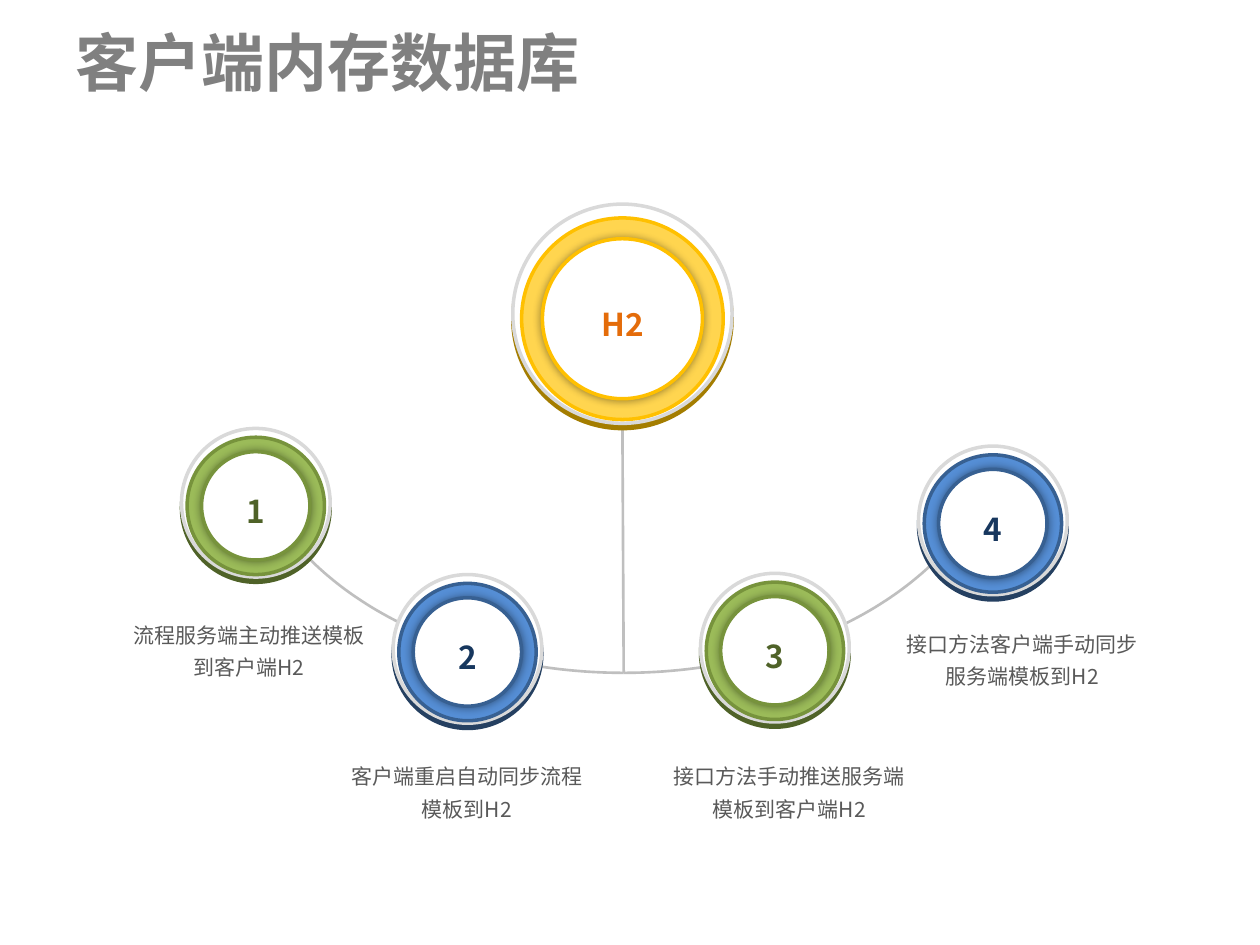
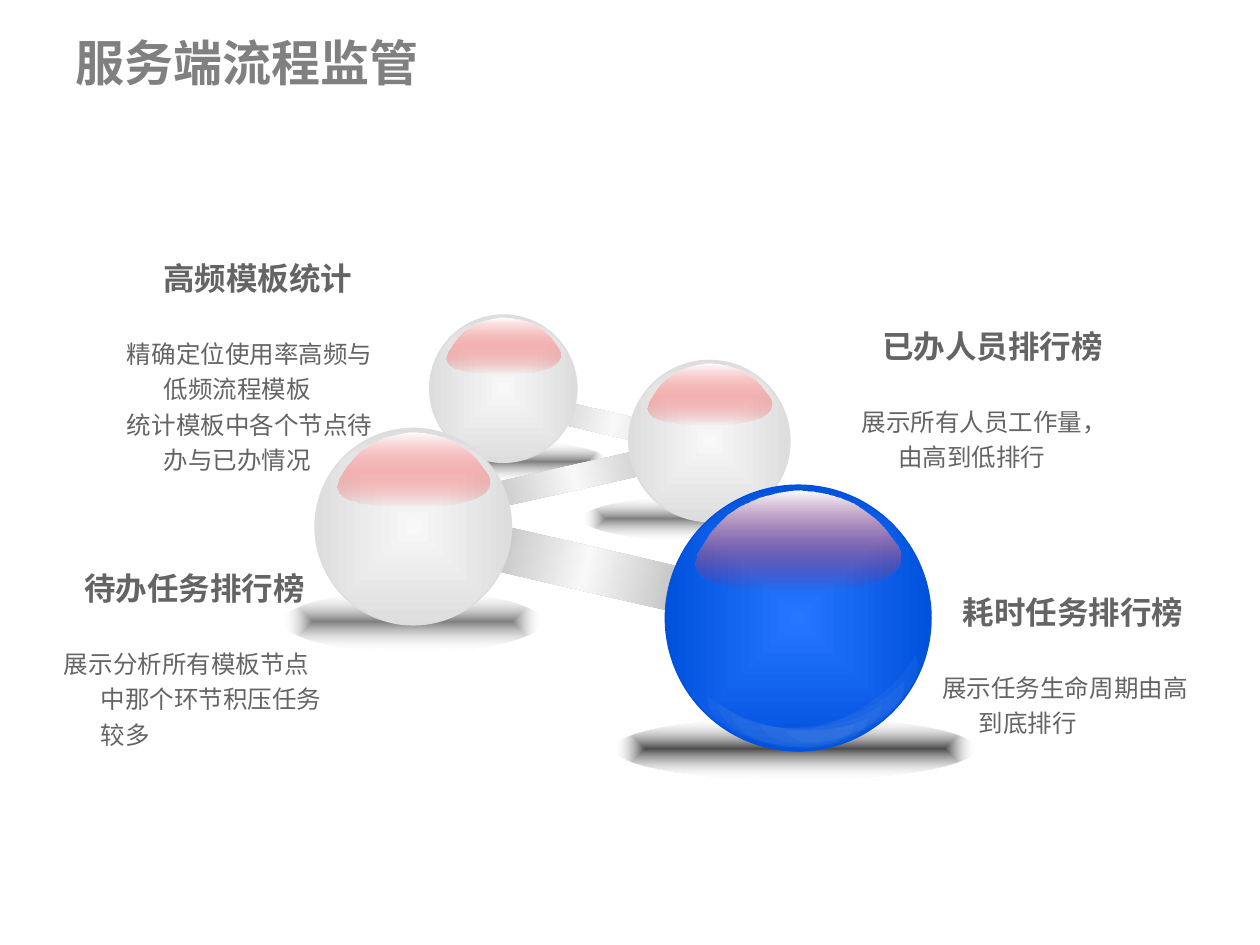
from pptx import Presentation
from pptx.dml.color import RGBColor
from pptx.enum.shapes import MSO_CONNECTOR, MSO_SHAPE
from pptx.enum.text import MSO_ANCHOR, PP_ALIGN
from pptx.oxml import parse_xml
from pptx.oxml.ns import nsdecls, qn
from pptx.util import Emu, Pt

PX = 9144
FONT = "Noto Sans CJK SC"
HEADING_FONT = "Arial"
TITLE_COLOR = "808080"
CAPTION_COLOR = "595959"
BODY_COLOR = "646464"
LINK_COLOR = "BFBFBF"
RIM_COLOR = "D9D9D9"

LEFT, CENTER = PP_ALIGN.LEFT, PP_ALIGN.CENTER
MIDDLE = MSO_ANCHOR.MIDDLE
OVAL, RECTANGLE, MOON = MSO_SHAPE.OVAL, MSO_SHAPE.RECTANGLE, MSO_SHAPE.MOON
STRAIGHT = MSO_CONNECTOR.STRAIGHT

GOLD = ("FFD54F", "FFC000", "A47D00", "E46C0A")
GREEN = ("9BBB59", "77933C", "4F6228", "4F6228")
BLUE = ("558ED5", "376092", "254061", "17375E")
PEARL_STOPS = [(0, "F8F8F8", 100), (100, "DDDDDD", 100)]
SAPPHIRE_STOPS = [(0, "2676FF", 100), (100, "0051DC", 100)]
BAR_STOPS = [(0, "C0C0C0", 100), (50, "F8F8F8", 100), (100, "C0C0C0", 100)]
GLOSS_STOPS = [(0, "FFFFFF", 100), (100, "FF0000", 0)]

GLOSS_WIDTH = 163
GLOSS_OUTLINE = [
    (161, 45), (163, 50), (163, 54), (162, 58), (160, 62), (157, 65), (153, 68),
    (148, 71), (142, 73), (135, 75), (127, 77), (120, 78), (111, 79), (98, 80),
    (59, 80), (51, 79), (43, 79), (36, 78), (29, 77), (23, 76), (18, 74),
    (13, 73), (9, 71), (5, 68), (2, 65), (1, 62), (0, 58), (1, 55), (2, 50),
    (7, 42), (12, 34), (18, 27), (25, 20), (34, 14), (42, 10), (51, 6), (62, 3),
    (72, 1), (83, 0), (94, 1), (105, 3), (115, 6), (125, 10), (134, 16),
    (142, 22), (149, 29), (155, 37),
]


def rgb(color):
    return RGBColor.from_string(color)


def emu(*lengths):
    return [Emu(round(length * PX)) for length in lengths]


def bezier(start, first, second, end, t):
    return tuple(
        (1 - t) ** 3 * a + 3 * (1 - t) ** 2 * t * b + 3 * (1 - t) * t ** 2 * c + t ** 3 * d
        for a, b, c, d in zip(start, first, second, end))


class Deck:
    def __init__(self):
        self.presentation = Presentation()
        self.presentation.slide_width, self.presentation.slide_height = emu(1000, 750)
        self.slide = None

    def add_slide(self, title, size):
        self.slide = self.presentation.slides.add_slide(self.presentation.slide_layouts[5])
        shape = self.slide.shapes.title
        shape.left, shape.top, shape.width, shape.height = emu(50, 21, 900, 56)
        shape.text_frame.vertical_anchor = MIDDLE
        self.set_text(shape, title, size, TITLE_COLOR, bold=True)

    def set_text(self, shape, text, size, color, bold=False, align=LEFT,
                 spacing=1.0, font=FONT, hanging=0):
        frame = shape.text_frame
        frame.word_wrap = True
        frame.text = text
        for paragraph in frame.paragraphs:
            paragraph.alignment = align
            paragraph.line_spacing = spacing
            if hanging:
                properties = paragraph._p.get_or_add_pPr()
                properties.set("marL", str(hanging * PX))
                properties.set("indent", str(-hanging * PX))
            for run in paragraph.runs:
                run.font.name = font
                run.font.size = Pt(size)
                run.font.bold = bold
                run.font.color.rgb = rgb(color)
                run._r.get_or_add_rPr().find(qn("a:latin")).addnext(
                    parse_xml(f'<a:ea {nsdecls("a")} typeface="{FONT}"/>'))

    def text(self, box, text, size, color, **style):
        shape = self.slide.shapes.add_textbox(*emu(*box))
        self.set_text(shape, text, size, color, **style)

    def finish(self, shape, fill=None, line=None, weight=2):
        shape.shadow.inherit = False
        if fill:
            shape.fill.solid()
            shape.fill.fore_color.rgb = rgb(fill)
        else:
            shape.fill.background()
        if line:
            shape.line.color.rgb = rgb(line)
            shape.line.width = Pt(weight)
        else:
            shape.line.fill.background()

    def shape(self, kind, box, fill=None, line=None, weight=2, angle=0):
        shape = self.slide.shapes.add_shape(kind, *emu(*box))
        shape.rotation = angle
        self.finish(shape, fill, line, weight)
        return shape

    def gradient(self, shape, stops, angle=None):
        stop_xml = "".join(
            f'<a:gs pos="{position * 1000}"><a:srgbClr val="{color}">'
            f'<a:alpha val="{alpha * 1000}"/></a:srgbClr></a:gs>'
            for position, color, alpha in stops)
        if angle is None:
            direction = ('<a:path path="shape"><a:fillToRect l="50000" t="50000" '
                         'r="50000" b="50000"/></a:path>')
        else:
            direction = f'<a:lin ang="{angle * 60000}" scaled="1"/>'
        properties = shape._element.spPr
        properties.replace(properties.find(qn("a:noFill")), parse_xml(
            f'<a:gradFill {nsdecls("a")} rotWithShape="1"><a:gsLst>{stop_xml}</a:gsLst>'
            f'{direction}</a:gradFill>'))

    def drop_shadow(self, shape, color, alpha, blur, distance):
        shape._element.spPr.find(qn("a:effectLst")).append(parse_xml(
            f'<a:outerShdw {nsdecls("a")} blurRad="{int(Pt(blur))}" '
            f'dist="{int(Pt(distance))}" dir="5400000" algn="ctr" rotWithShape="0">'
            f'<a:srgbClr val="{color}"><a:alpha val="{alpha * 1000}"/></a:srgbClr>'
            f'</a:outerShdw>'))

    def connector(self, start, end):
        line = self.slide.shapes.add_connector(STRAIGHT, *emu(*start, *end))
        line.line.color.rgb = rgb(LINK_COLOR)
        line.line.width = Pt(1.5)
        line._element.spPr.append(parse_xml(f'<a:effectLst {nsdecls("a")}/>'))

    def outline(self, points, close):
        corners = [emu(*point) for point in points]
        builder = self.slide.shapes.build_freeform(*corners[0])
        builder.add_line_segments(corners[1:], close=close)
        return builder.convert_to_shape()

    def arc(self, *controls, steps=60):
        points = [bezier(*controls, step / steps) for step in range(steps + 1)]
        self.finish(self.outline(points, False), line=LINK_COLOR, weight=1.5)

    def medallion(self, left, top, size, label, palette):
        face, edge, depth, ink = palette
        ring, inner = round(size * 0.92), round(size * 0.73)
        ring_top = top + round(size * 0.063)
        inner_left = left + (size - inner) / 2
        inner_top = ring_top + (ring - inner) / 2
        rim = self.shape(OVAL, (left, top, size, size), "FFFFFF", RIM_COLOR)
        self.drop_shadow(rim, depth, 100, 0, 3)
        self.shape(OVAL, (left + (size - ring) / 2, ring_top, ring, ring), face, edge)
        center = self.shape(OVAL, (inner_left, inner_top, inner, inner), "FFFFFF", edge)
        self.drop_shadow(center, "000000", 40, 5, 0)
        self.text((inner_left, inner_top + inner / 2 - 19, inner, 41), label, 18, ink,
                  bold=True, align=CENTER, spacing=1.1)

    def bar(self, left, top, height, angle, shift):
        self.shape(RECTANGLE, (left + shift, top, 144, height * 2 / 3), "EAEAEA", angle=angle)
        front = self.shape(RECTANGLE, (left, top, 144, height), angle=angle)
        self.gradient(front, BAR_STOPS, 0)

    def sphere(self, left, top, size, ground, stops=PEARL_STOPS, darkness=50, glints=()):
        shadow = self.shape(OVAL, ground)
        self.gradient(shadow, [(0, "000000", darkness), (100, "FFFFFF", 0)])
        ball = self.shape(OVAL, (left, top, size, size), line=stops[-1][1], weight=0.75)
        self.gradient(ball, stops)
        scale = size * 0.77 / GLOSS_WIDTH
        gloss = self.outline([(left + size * 0.115 + x * scale, top + size * 0.02 + y * scale)
                              for x, y in GLOSS_OUTLINE], True)
        self.finish(gloss)
        self.gradient(gloss, GLOSS_STOPS, 90)
        for *box, angle in glints:
            self.glint(box, angle)

    def glint(self, box, angle):
        moon = self.shape(MOON, box, "F8F8F8", angle=angle)
        moon.adjustments[0] = 0.498
        properties = moon._element.spPr
        properties.xfrm.set("flipH", "1")
        properties.xfrm.set("flipV", "1")
        properties.find(qn("a:solidFill"))[0].append(
            parse_xml(f'<a:alpha {nsdecls("a")} val="4000"/>'))

    def topic(self, left, top, heading, body, height):
        self.text((left, top, 227, 40), heading, 18, BODY_COLOR,
                  bold=True, align=CENTER, font=HEADING_FONT)
        self.text((left, top + 58.5, 234, height), body, 14, BODY_COLOR,
                  spacing=1.2, hanging=29)


def build_memory_database(deck):
    deck.add_slide("客户端内存数据库", 36)
    deck.arc((776, 402), (732, 479), (623, 534), (495, 534))
    deck.arc((495, 534), (367, 534), (257, 479), (214, 402))
    deck.connector((494, 337), (495, 534))
    deck.medallion(407, 162, 174, "H2", GOLD)
    for left, top, label, palette in [
        (144, 340, "1", GREEN),
        (312, 456, "2", BLUE),
        (556, 455, "3", GREEN),
        (729, 354, "4", BLUE),
    ]:
        deck.medallion(left, top, 118, label, palette)
    for left, top, caption in [
        (91, 483, "流程服务端主动推送模板到客户端H2"),
        (264, 595, "客户端重启自动同步流程模板到H2"),
        (520, 595, "接口方法手动推送服务端模板到客户端H2"),
        (705, 490, "接口方法客户端手动同步服务端模板到H2"),
    ]:
        deck.text((left, top, 213, 63), caption, 12, CAPTION_COLOR, align=CENTER, spacing=1.3)


def build_process_monitoring(deck):
    deck.add_slide("服务端流程监管", 28)
    for topic in [
        (41, 447, "待办任务排行榜", "展示分析所有模板节点中那个环节积压任务较多", 95),
        (674, 255, "已办人员排行榜", "展示所有人员工作量，由高到低排行", 67),
        (738, 466, "耗时任务排行榜", "展示任务生命周期由高到底排行", 67),
        (91, 201, "高频模板统计",
         "精确定位使用率高频与低频流程模板\n统计模板中各个节点待办与已办情况", 123),
    ]:
        deck.topic(*topic)
    deck.bar(415, 328, 18, 193, 2)
    deck.sphere(341, 250, 117, (310, 350, 172, 33))
    deck.bar(393, 433, 36, 193, 2)
    deck.bar(384, 369, 20, 167.4, 0)
    deck.sphere(499, 286, 128, (462, 393, 220, 37))
    deck.sphere(528, 385, 211, (488, 570, 286, 49), SAPPHIRE_STOPS, 70, [
        (668, 503, 29, 119, 59.5), (650, 512, 29, 119, 73.1), (626, 518, 29, 119, 86.9),
        (614, 519, 29, 119, 95.6), (603, 518, 29, 119, 100.6)])
    deck.sphere(250, 340, 156, (225, 470, 205, 47), glints=[
        (355, 421, 23, 96, 59.5), (332, 431, 23, 96, 78), (322, 433, 23, 96, 86.9),
        (312, 434, 23, 97, 95.6), (303, 433, 23, 97, 100.6), (291, 437, 27, 84, 109.4)])


def main():
    deck = Deck()
    build_memory_database(deck)
    build_process_monitoring(deck)
    deck.presentation.save("out.pptx")


if __name__ == "__main__":
    main()
